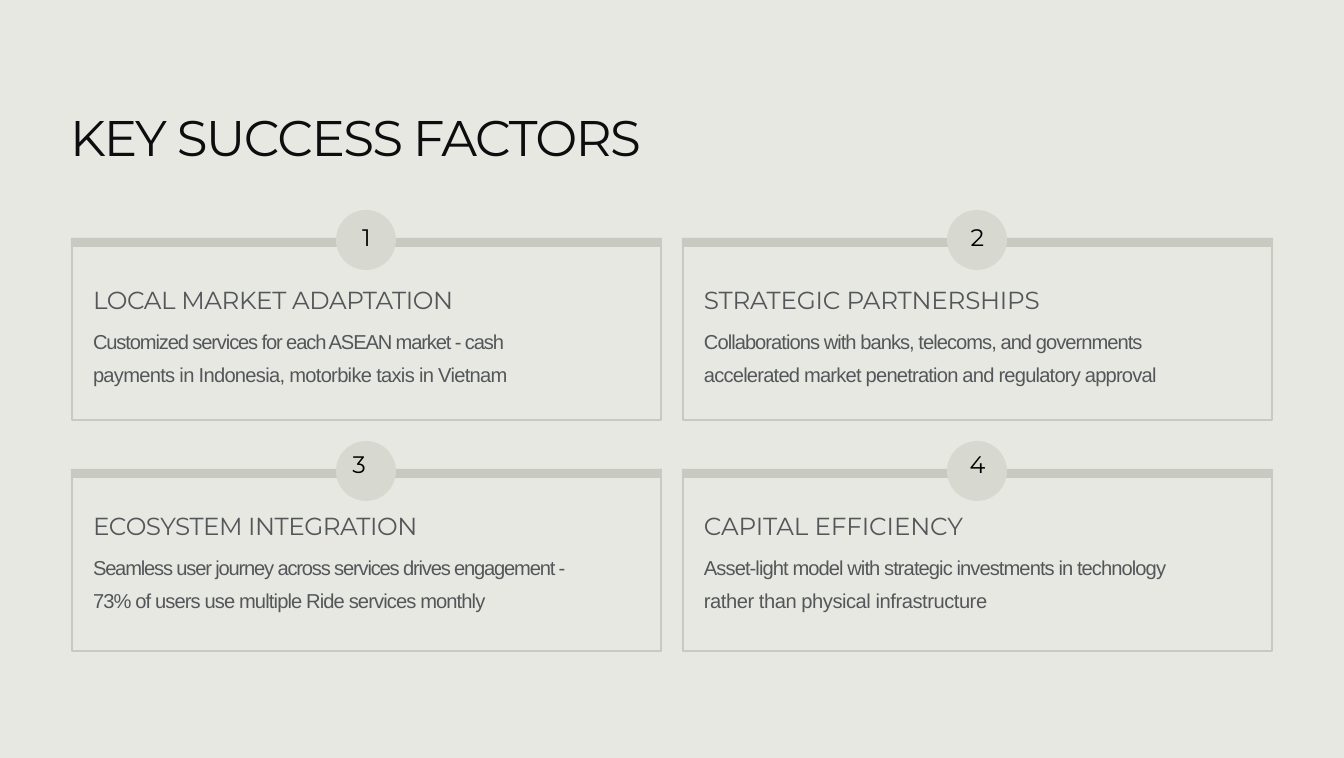
from copy import deepcopy
from dataclasses import dataclass

from lxml import etree
from pptx import Presentation
from pptx import util as u
from pptx.dml import color
from pptx.enum import shapes, text
from pptx.oxml import ns

SCALE = 914400 / 107.5


def px(n):
    return u.Emu(round(n * SCALE))


@dataclass(frozen=True)
class Theme:
    page: str = "E8E8E3"
    edge: str = "C8CAC1"
    disc: str = "D7D9D1"
    ink: str = "0C0D0E"
    black: str = "000000"
    gray: str = "545759"
    display: str = "Montserrat"
    plain: str = "Arial"
    title: float = 33.5
    number: float = 16
    head: float = 16.5
    body: float = 13.5


class Deck:
    def __init__(self, theme):
        self.theme = theme
        self.show = Presentation()
        self.show.slide_width = px(1344)
        self.show.slide_height = px(758)
        self.slide = self.show.slides.add_slide(self.show.slide_layouts[3])
        self.paint(self.slide.background, theme.page)

    def paint(self, item, tint):
        item.fill.solid()
        item.fill.fore_color.rgb = color.RGBColor.from_string(tint)

    def shape(self, kind, x, y, w, h, fill, edge=None):
        item = self.slide.shapes.add_shape(kind, px(x), px(y), px(w), px(h))
        item.shadow.inherit = False
        self.paint(item, fill)
        if edge:
            item.line.color.rgb = color.RGBColor.from_string(edge)
            item.line.width = px(2)
        else:
            item.line.fill.background()

    def card(self, x, y, w, h):
        look = self.theme
        rect = shapes.MSO_SHAPE.RECTANGLE
        self.shape(rect, x + 1, y + 1, w - 2, h - 2, look.page, look.edge)
        self.shape(rect, x, y, w, 9, look.edge)
        self.shape(shapes.MSO_SHAPE.OVAL, x + w // 2 - 30, y - 28, 60, 60, look.disc)

    def place(self, index, x, y, w, h, top):
        item = self.slide.placeholders[index]
        item.left, item.top, item.width, item.height = map(px, (x, y, w, h))
        frame = item.text_frame
        frame.margin_left = frame.margin_right = frame.margin_bottom = 0
        frame.margin_top = px(top)
        frame.word_wrap = True
        frame.auto_size = text.MSO_AUTO_SIZE.NONE
        frame.vertical_anchor = text.MSO_ANCHOR.TOP
        item.element.getparent().append(item.element)
        return frame

    def style(self, para, words, size, tint, font, gaps=(0,), before=0,
              pitch=1, mid=False, left=1, first=0):
        para.text = words
        props = para._p.get_or_add_pPr()
        props.set("marL", str(px(left)))
        props.set("indent", str(px(first)))
        etree.SubElement(props, ns.qn("a:buNone"))
        para.alignment = text.PP_ALIGN.CENTER if mid else text.PP_ALIGN.LEFT
        para.space_before = u.Pt(before)
        para.space_after = u.Pt(0)
        para.line_spacing = float(pitch)
        for run, gap in zip(para.runs, gaps):
            run.font.name = font
            run.font.size = u.Pt(size)
            run.font.color.rgb = color.RGBColor.from_string(tint)
            run._r.get_or_add_rPr().set("spc", str(gap))
        for stop in para._p.findall(ns.qn("a:br")):
            stop.append(deepcopy(para.runs[0]._r.get_or_add_rPr()))

    def title(self, words):
        look = self.theme
        frame = self.place(0, 69, 78, 1206, 126, 28)
        self.style(frame.paragraphs[0], words, look.title, look.ink,
                   look.display, (-110,))

    def column(self, index, x, facts):
        look = self.theme
        frame = self.place(index, x, 221, 534, 414, 2)
        para = frame.paragraphs[0]
        for row, (mark, shift, head, tight, body, gaps) in enumerate(facts):
            if row:
                para = frame.add_paragraph()
            self.style(para, mark, look.number, look.black, look.display,
                       before=42 * row, mid=True, left=15, first=shift)
            self.style(frame.add_paragraph(), head, look.head, look.gray,
                       look.display, (tight,), before=22)
            self.style(frame.add_paragraph(), body, look.body, look.gray,
                       look.plain, gaps, before=4, pitch=1.38)


FACTS = [
    [
        ("1", 0, "LOCAL MARKET ADAPTATION", -23,
         "Customized services for each ASEAN market - cash\v"
         "payments in Indonesia, motorbike taxis in Vietnam", (-75, -46)),
        ("3", -24, "ECOSYSTEM INTEGRATION", -29,
         "Seamless user journey across services drives engagement -\v"
         "73% of users use multiple Ride services monthly", (-76, -56)),
    ],
    [
        ("2", 0, "STRATEGIC PARTNERSHIPS", -10,
         "Collaborations with banks, telecoms, and governments\v"
         "accelerated market penetration and regulatory approval", (-63, -50)),
        ("4", 0, "CAPITAL EFFICIENCY", -6,
         "Asset-light model with strategic investments in technology\v"
         "rather than physical infrastructure", (-59, -29)),
    ],
]


def main():
    deck = Deck(Theme())
    deck.title("KEY SUCCESS FACTORS")
    for col, facts in enumerate(FACTS):
        x = 71 + 611 * col
        for row in range(len(facts)):
            deck.card(x, 238 + 231 * row, 591, 183)
        deck.column(col + 1, x + 21, facts)
    deck.show.save("out.pptx")


if __name__ == "__main__":
    main()
